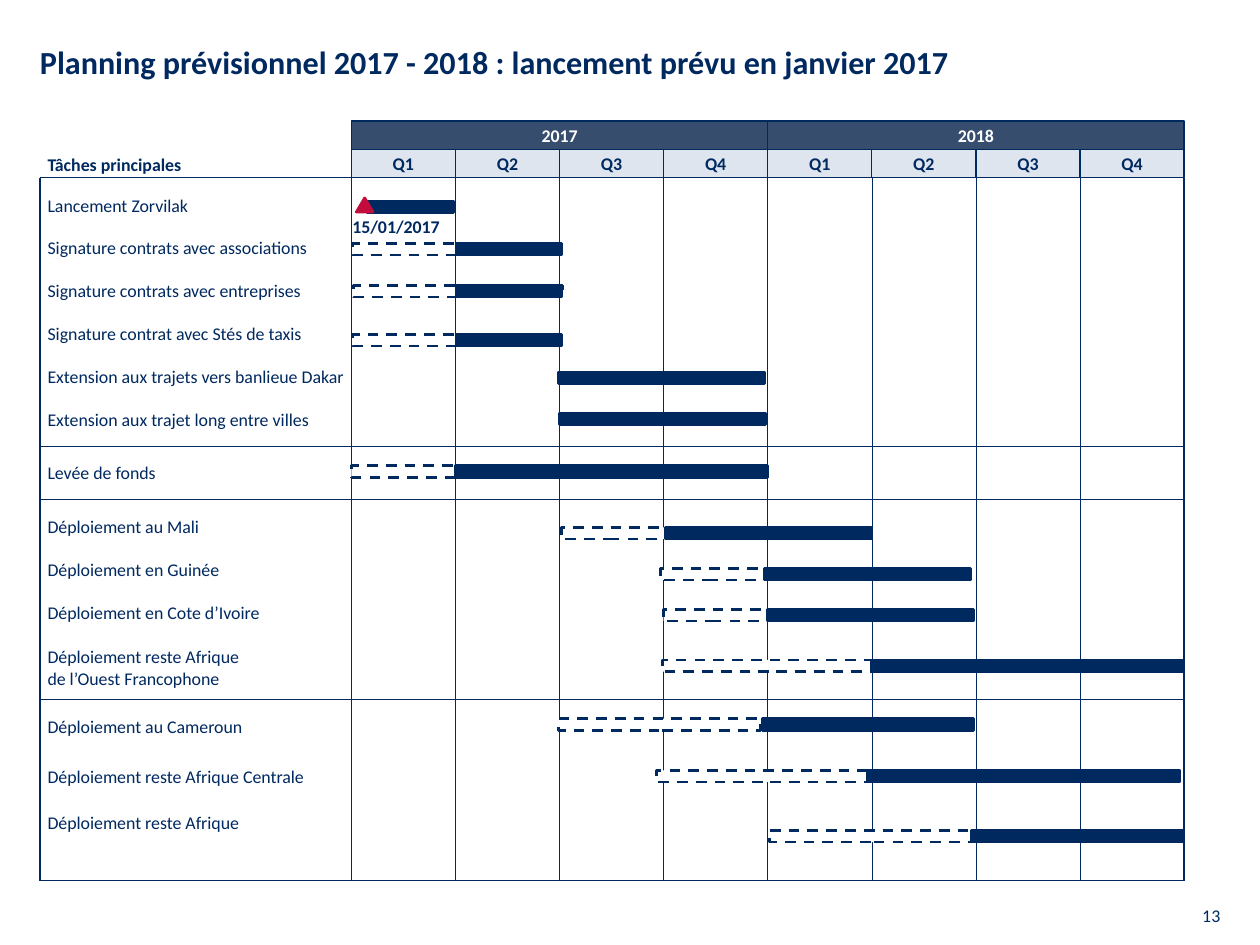
from lxml import etree
from pptx import Presentation
from pptx.dml.color import RGBColor
from pptx.enum.dml import MSO_LINE
from pptx.enum.shapes import MSO_CONNECTOR, MSO_SHAPE
from pptx.enum.text import MSO_ANCHOR, MSO_AUTO_SIZE, PP_ALIGN
from pptx.oxml.ns import qn
from pptx.util import Cm, Pt

NAVY = RGBColor(0x00, 0x29, 0x60)
SLATE = RGBColor(0x36, 0x4D, 0x6E)
PALE = RGBColor(0xDF, 0xE5, 0xEF)
RED = RGBColor(0xC3, 0x0C, 0x3E)
WHITE = RGBColor(0xFF, 0xFF, 0xFF)
FONT = "Calibri"
RECT = MSO_SHAPE.RECTANGLE
TRIANGLE = MSO_SHAPE.ISOSCELES_TRIANGLE
STRAIGHT = MSO_CONNECTOR.STRAIGHT
DASH = MSO_LINE.DASH
TOP, MIDDLE, BOTTOM = MSO_ANCHOR.TOP, MSO_ANCHOR.MIDDLE, MSO_ANCHOR.BOTTOM
LEFT, CENTER = PP_ALIGN.LEFT, PP_ALIGN.CENTER
NO_AUTOFIT = MSO_AUTO_SIZE.NONE

LABEL_W = 6.15
HEADER_H = 0.56
BAR_H = 0.23
QUARTERS = 8
YEARS = ["2017", "2018"]
SECTION_ENDS = [5.31, 6.35, 10.31]

# Label, label top, bar top, dashed span and solid span in quarters
TASKS = [
    ("Lancement Zorvilak", 0.33, 0.46, None, (0.15, 0.98)),
    ("Signature contrats avec associations", 1.17, 1.3, (0.01, 2.02), (1.01, 2.02)),
    ("Signature contrats avec entreprises", 2.01, 2.13, (0.02, 2.03), (1.01, 2.02)),
    ("Signature contrat avec Stés de taxis", 2.87, 3.1, (0.01, 2.02), (1.01, 2.02)),
    ("Extension aux trajets vers banlieue Dakar", 3.71, 3.84, None, (1.99, 3.97)),
    ("Extension aux trajet long entre villes", 4.57, 4.65, None, (2, 3.98)),
    ("Levée de fonds", 5.61, 5.69, (0, 2), (1, 4)),
    ("Déploiement au Mali", 6.68, 6.91, (2.02, 3.02), (3.02, 5)),
    ("Déploiement en Guinée", 7.52, 7.72, (2.97, 3.97), (3.97, 5.95)),
    ("Déploiement en Cote d’Ivoire", 8.38, 8.53, (3, 4), (4, 5.98)),
    ("Déploiement reste Afrique\nde l’Ouest Francophone", 9.25, 9.53, (2.99, 5.04), (5, 8)),
    ("Déploiement au Cameroun", 10.62, 10.69, (1.99, 3.93), (3.95, 5.98)),
    ("Déploiement reste Afrique Centrale", 11.61, 11.71, (2.93, 4.98), (4.96, 7.96)),
    ("Déploiement reste Afrique", 12.52, 12.9, (4.02, 5.96), (5.96, 8)),
]


def write(sp, text, color=NAVY, bold=False, size=10, align=LEFT, anchor=TOP, wrap=False):
    tf = sp.text_frame
    tf.auto_size = NO_AUTOFIT
    tf.word_wrap = wrap
    tf.vertical_anchor = anchor
    tf.margin_left = tf.margin_right = tf.margin_top = tf.margin_bottom = 0
    p = tf.paragraphs[0]
    p.alignment = align
    for i, line in enumerate(text.split("\n")):
        if i:
            p.add_line_break()
        r = p.add_run()
        r.text = line
        r.font.name = FONT
        r.font.size = Pt(size)
        r.font.bold = bold
        r.font.color.rgb = color


def add_label(s, x, y, w, h, text, **style):
    write(s.shapes.add_textbox(Cm(x), Cm(y), Cm(w), Cm(h)), text, **style)


def add_box(s, x, y, w, h, fill, line=NAVY, width=1.5, dash=None, kind=RECT):
    sp = s.shapes.add_shape(kind, Cm(x), Cm(y), Cm(w), Cm(h))
    sp.shadow.inherit = False
    sp.fill.solid()
    sp.fill.fore_color.rgb = fill
    if line is None:
        sp.line.fill.background()
    else:
        sp.line.color.rgb = line
        sp.line.width = Pt(width)
    if dash is not None:
        sp.line.dash_style = dash
    return sp


def add_rule(s, x1, y1, x2, y2, width):
    c = s.shapes.add_connector(STRAIGHT, Cm(x1), Cm(y1), Cm(x2), Cm(y2))
    c.line.color.rgb = NAVY
    c.line.width = Pt(width)
    etree.SubElement(c._element.spPr, qn("a:effectLst"))


def add_title(s, x, y, w, h, text):
    sp = s.shapes.title
    sp.left, sp.top, sp.width, sp.height = Cm(x), Cm(y), Cm(w), Cm(h)
    write(sp, text, bold=True, size=18, anchor=MIDDLE, wrap=True)


def add_header(s, x, y, w, h):
    year_w, quarter_w = w / len(YEARS), w / QUARTERS
    cells = [(x + i * year_w, y, year_w, year, SLATE, WHITE) for i, year in enumerate(YEARS)]
    cells += [(x + i * quarter_w, y + h / 2, quarter_w, f"Q{i % 4 + 1}", PALE, NAVY)
              for i in range(QUARTERS)]
    for left, top, width, text, fill, color in cells:
        sp = add_box(s, left, top, width, h / 2, fill, width=0.75)
        write(sp, text, color=color, bold=True, align=CENTER, anchor=MIDDLE)


def add_grid(s, x, y, w, h):
    quarter_w = (w - LABEL_W) / QUARTERS
    add_rule(s, x, y, x, y + h, 0.75)
    for i in range(QUARTERS + 1):
        left = x + LABEL_W + i * quarter_w
        add_rule(s, left, y, left, y + h, 0.25 if 0 < i < QUARTERS else 0.75)
    for top in SECTION_ENDS:
        add_rule(s, x, y + top, x + w, y + top, 0.25)
    for top in (0, h):
        add_rule(s, x, y + top, x + w, y + top, 0.75)


def add_tasks(s, x, y, w):
    start = x + LABEL_W
    quarter_w = (w - LABEL_W) / QUARTERS
    for text, label_y, bar_y, planned, firm in TASKS:
        add_label(s, x + 0.15, y + label_y, 5.7, 0.43, text)
        for span, fill, dash in ((planned, WHITE, DASH), (firm, NAVY, None)):
            if span:
                first, last = span
                add_box(s, start + first * quarter_w, y + bar_y,
                        (last - first) * quarter_w, BAR_H, fill, dash=dash)


def add_launch(s, x, y):
    add_box(s, x + 0.1, y + 0.4, 0.33, 0.28, RED, line=RED, kind=TRIANGLE)
    sp = add_box(s, x + 0.02, y + 0.76, 1.75, 0.43, WHITE, line=None)
    write(sp, "15/01/2017", bold=True)


def add_planning(s, x, y, w, h):
    grid_y = y + 2 * HEADER_H
    add_header(s, x + LABEL_W, y, w - LABEL_W, 2 * HEADER_H)
    add_label(s, x + 0.15, y + HEADER_H + 0.08, 2.67, 0.43, "Tâches principales",
              bold=True, anchor=BOTTOM)
    add_grid(s, x, grid_y, w, h - 2 * HEADER_H)
    add_tasks(s, x, grid_y, w)
    add_launch(s, x + LABEL_W, grid_y)


def main():
    prs = Presentation()
    prs.slide_width, prs.slide_height = Cm(24.89), Cm(18.67)
    s = prs.slides.add_slide(prs.slide_layouts[5])
    add_title(s, 0.79, 0.84, 21.16, 0.76,
              "Planning prévisionnel 2017 - 2018 : lancement prévu en janvier 2017")
    add_planning(s, 0.79, 2.39, 22.6, 15.01)
    add_label(s, 23.75, 17.88, 0.53, 0.43, "13")
    prs.save("out.pptx")


if __name__ == "__main__":
    main()
